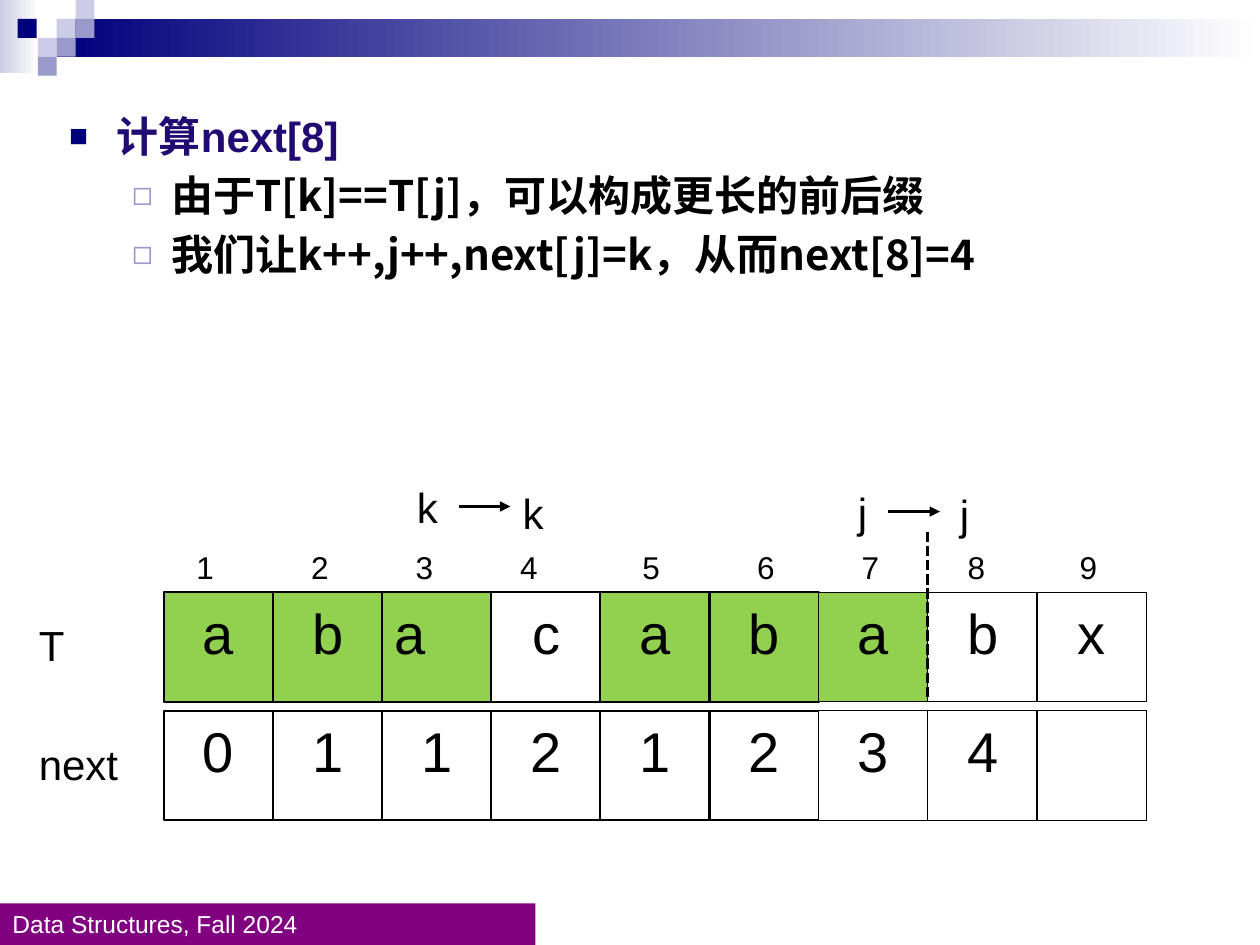
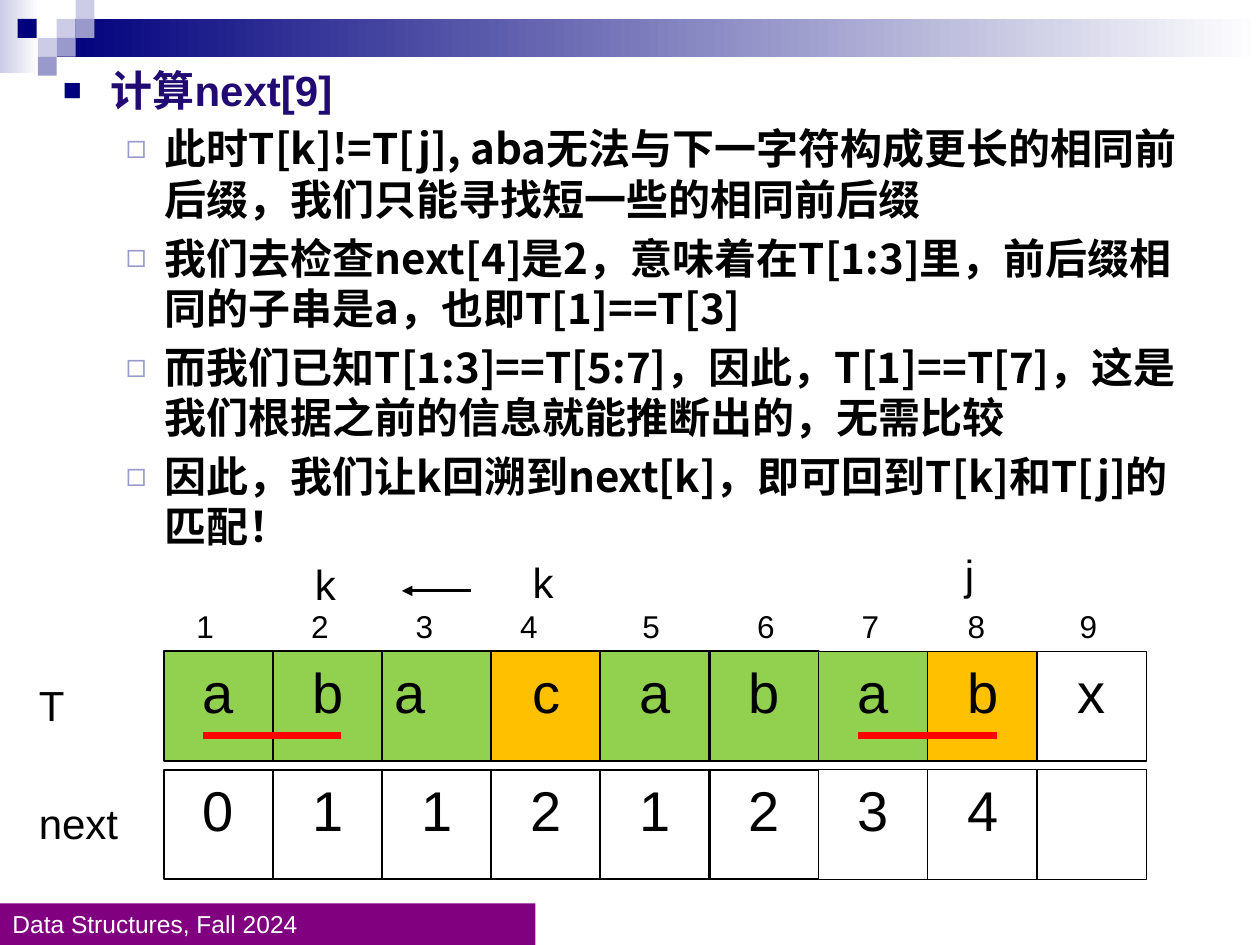
import pptx
import pptx.dml.color
import pptx.enum.dml
import pptx.enum.shapes
import pptx.enum.text
import pptx.oxml.ns
import pptx.util
import lxml.etree

Inches = pptx.util.Inches
Pt = pptx.util.Pt
ALIGN = pptx.enum.text.PP_ALIGN
ANCHOR = pptx.enum.text.MSO_ANCHOR
qn = pptx.oxml.ns.qn

COLORS = {
    "navy": "00007D", "lavender": "9999CC", "pale": "CCCCE6", "white": "FFFFFF",
    "purple": "800080", "heading": "210B73", "black": "000000",
    "green": "92D050", "orange": "FFC000", "red": "FF0000",
}
LATIN_FONT = "Arial"
CHINESE_FONT = "Noto Sans CJK SC"

PIXEL = 0.15
PIXELS = [
    (0.45, 0.15, "pale"), (0.6, 0, "pale"), (0.6, 0.15, "lavender"), (0.3, 0.3, "pale"),
    (0.14, 0.15, "navy"), (0.45, 0.3, "lavender"), (0.3, 0.45, "lavender"),
]

CELL = 0.87
GRID_LEFT = 1.3
COLUMN_STEP = 6.93 / 8
ROW_STEP = 0.94
HEAVY_COLUMNS = 6
PATTERN = "abacababx"
NEXT_VALUES = "01121234 "
INDEX_CENTERS = [0.55, 1.46, 2.29, 3.12, 4.09, 5.0, 5.83, 6.67, 7.56]

# marker, marker colour, marker size in percent, left margin, hanging indent, text colour, font
BULLETS = [
    ("■", "navy", 75, 0.38, 0.38, "heading", LATIN_FONT),
    ("◻", "lavender", 80, 0.81, 0.31, "black", CHINESE_FONT),
]


def rgb(name):
    return pptx.dml.color.RGBColor.from_string(COLORS[name])


def style_text(paragraph, size, color="black", font=LATIN_FONT, bold=False):
    for span in paragraph.runs:
        span.font.size = Pt(size)
        span.font.name = font
        span.font.bold = bold
        span.font.color.rgb = rgb(color)
        east_asian = lxml.etree.Element(qn("a:ea"), typeface=CHINESE_FONT)
        span.font._element.find(qn("a:latin")).addnext(east_asian)


def add_rectangle(page, left, top, width, height, color, fade=False):
    """Add a plain rectangle; with fade it runs to white at the right."""
    box = page.shapes.add_shape(
        pptx.enum.shapes.MSO_SHAPE.RECTANGLE,
        Inches(left), Inches(top), Inches(width), Inches(height))
    box.shadow.inherit = False
    box.line.fill.background()
    if fade:
        box.fill.gradient()
        box.fill.gradient_angle = 0
        for stop, name in zip(box.fill.gradient_stops, (color, "white")):
            stop.color.rgb = rgb(name)
    else:
        box.fill.solid()
        box.fill.fore_color.rgb = rgb(color)
    return box


def add_label(page, text, left, top, width=0.87, height=0.51, size=24):
    box = page.shapes.add_textbox(Inches(left), Inches(top), Inches(width), Inches(height))
    box.text_frame.word_wrap = True
    box.text_frame.text = text
    style_text(box.text_frame.paragraphs[0], size)
    return box


def add_line(page, start, end, color="black", width=1.75, arrow=False, dashed=False):
    line = page.shapes.add_connector(
        pptx.enum.shapes.MSO_CONNECTOR.STRAIGHT,
        Inches(start[0]), Inches(start[1]), Inches(end[0]), Inches(end[1]))
    line.line.color.rgb = rgb(color)
    line.line.width = Pt(width)
    if dashed:
        line.line.dash_style = pptx.enum.dml.MSO_LINE.SQUARE_DOT
    if arrow:
        lxml.etree.SubElement(line.line._get_or_add_ln(), qn("a:tailEnd"), type="triangle")
    lxml.etree.SubElement(line._element.spPr, qn("a:effectLst"))


def add_decoration(page):
    add_rectangle(page, 0, 0, 0.31, 0.58, "pale", fade=True)
    add_rectangle(page, 0.45, 0.15, 9.55, 0.3, "navy", fade=True)
    for left, top, color in PIXELS:
        add_rectangle(page, left, top, PIXEL, PIXEL, color)
    footer = add_rectangle(page, 0, 7.17, 4.25, 0.33, "purple")
    footer.text_frame.text = "Data Structures, Fall 2024"
    footer.text_frame.vertical_anchor = ANCHOR.MIDDLE
    paragraph = footer.text_frame.paragraphs[0]
    paragraph.alignment = ALIGN.LEFT
    style_text(paragraph, 14, "white")


def set_bullet(paragraph, marker, color, percent, margin, hanging):
    properties = paragraph._p.get_or_add_pPr()
    properties.set("marL", str(Inches(margin)))
    properties.set("indent", str(-Inches(hanging)))
    bullet_color = lxml.etree.SubElement(properties, qn("a:buClr"))
    lxml.etree.SubElement(bullet_color, qn("a:srgbClr"), val=COLORS[color])
    lxml.etree.SubElement(properties, qn("a:buSzPct"), val=str(percent * 1000))
    lxml.etree.SubElement(properties, qn("a:buFont"), typeface=LATIN_FONT)
    lxml.etree.SubElement(properties, qn("a:buChar"), char=marker)


def add_explanation(page, left, top, width, heading, points):
    box = page.shapes.add_textbox(Inches(left), Inches(top), Inches(width), Inches(4.09))
    frame = box.text_frame
    frame.word_wrap = True
    for number, text in enumerate([heading] + points):
        paragraph = frame.add_paragraph() if number else frame.paragraphs[0]
        paragraph.text = text
        paragraph.level = min(number, 1)
        paragraph.space_before = Pt(4.8)
        paragraph.line_spacing = Pt(28.8)
        *bullet, color, font = BULLETS[paragraph.level]
        set_bullet(paragraph, *bullet)
        style_text(paragraph, 24, color, font, bold=True)


def add_cell(page, column, top, text, color):
    cell = add_rectangle(page, GRID_LEFT + column * COLUMN_STEP, top, CELL, CELL, color)
    cell.line.color.rgb = rgb("black")
    cell.line.width = Pt(1.25 if column < HEAVY_COLUMNS else 0.75)
    cell.text_frame.vertical_anchor = ANCHOR.TOP
    cell.text_frame.text = text.strip()
    paragraph = cell.text_frame.paragraphs[0]
    paragraph.alignment = ALIGN.CENTER
    style_text(paragraph, 32)
    return cell


def add_index_row(page, top):
    """Number the columns in one line of text with centred tab stops."""
    numbers = "".join(f"\t{number}" for number in range(1, len(PATTERN) + 1))
    box = add_label(page, numbers, 0.98, top, 8.43, 0.4, size=18)
    properties = box.text_frame.paragraphs[0]._p.get_or_add_pPr()
    stops = lxml.etree.SubElement(properties, qn("a:tabLst"))
    for center in INDEX_CENTERS:
        lxml.etree.SubElement(stops, qn("a:tab"), pos=str(Inches(center)), algn="ctr")


def add_arrays(page, top, colors):
    """Draw the rows T and next; colors maps a T column to its highlight."""
    for column, (letter, value) in enumerate(zip(PATTERN, NEXT_VALUES)):
        cell = add_cell(page, column, top, letter, colors.get(column, "white"))
        if column == 2:
            cell.text_frame.paragraphs[0].alignment = ALIGN.LEFT
        add_cell(page, column, top + ROW_STEP, value, "white")
    for row, name in enumerate(["T", "next"]):
        add_label(page, name, 0.21, top + row * ROW_STEP + 0.17)
    add_index_row(page, top - 0.4)


def add_page(deck):
    page = deck.slides.add_slide(deck.slide_layouts[6])
    add_decoration(page)
    return page


def build_next_8(deck):
    page = add_page(deck)
    add_explanation(page, 0.45, 0.83, 9, "计算next[8]", [
        "由于T[k]==T[j]，可以构成更长的前后缀",
        "我们让k++,j++,next[j]=k，从而next[8]=4",
    ])
    add_arrays(page, 4.7, dict.fromkeys([0, 1, 2, 4, 5, 6], "green"))
    add_line(page, (7.36, 4.22), (7.36, 5.56), width=2, dashed=True)
    for name, left, top in [("k", 3.21, 3.77), ("k", 4.05, 3.82),
                            ("j", 6.71, 3.81), ("j", 7.52, 3.83)]:
        add_label(page, name, left, top)
    for left, top in [(3.64, 4.02), (7.05, 4.06)]:
        add_line(page, (left, top), (left + 0.41, top), arrow=True)


def build_next_9(deck):
    page = add_page(deck)
    add_explanation(page, 0.4, 0.46, 9.2, "计算next[9]", [
        "此时T[k]!=T[j], aba无法与下一字符构成更长的相同前后缀，我们只能寻找短一些的相同前后缀",
        "我们去检查next[4]是2，意味着在T[1:3]里，前后缀相同的子串是a，也即T[1]==T[3]",
        "而我们已知T[1:3]==T[5:7]，因此，T[1]==T[7]，这是我们根据之前的信息就能推断出的，无需比较",
        "因此，我们让k回溯到next[k]，即可回到T[k]和T[j]的匹配！",
    ])
    colors = dict.fromkeys([0, 1, 2, 4, 5, 6], "green")
    colors.update({3: "orange", 7: "orange"})
    add_arrays(page, 5.17, colors)
    for left in (1.61, 6.81):
        add_line(page, (left, 5.84), (left + 1.1, 5.84), "red", 4)
    for name, left, top in [("k", 2.4, 4.38), ("k", 4.13, 4.37), ("j", 7.56, 4.3)]:
        add_label(page, name, left, top)
    add_line(page, (3.74, 4.69), (3.19, 4.69), arrow=True)


def main():
    deck = pptx.Presentation()
    deck.slide_width = Inches(10)
    deck.slide_height = Inches(7.5)
    build_next_8(deck)
    build_next_9(deck)
    deck.save("out.pptx")


if __name__ == "__main__":
    main()
